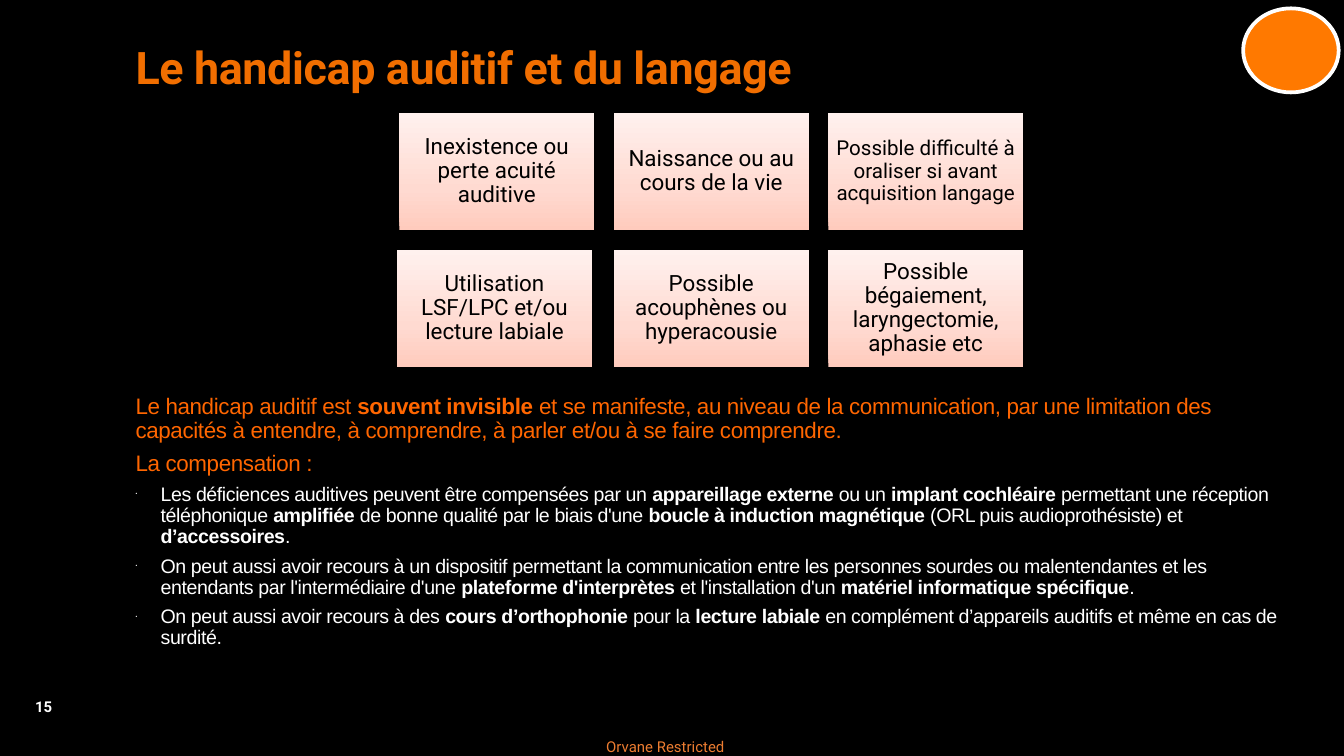
import copy

import pptx
import pptx.dml.color
import pptx.enum.shapes
import pptx.enum.text
import pptx.oxml.ns
import pptx.util
from lxml import etree

Pt = pptx.util.Pt
RGBColor = pptx.dml.color.RGBColor
ALIGN = pptx.enum.text.PP_ALIGN
SHAPE = pptx.enum.shapes.MSO_SHAPE
qn = pptx.oxml.ns.qn

BLACK = RGBColor(0x00, 0x00, 0x00)
WHITE = RGBColor(0xFF, 0xFF, 0xFF)
TITLE_ORANGE = RGBColor(0xF1, 0x6E, 0x00)
TEXT_ORANGE = RGBColor(0xFF, 0x66, 0x00)
BADGE_ORANGE = RGBColor(0xFF, 0x79, 0x00)
FOOTER_ORANGE = RGBColor(0xED, 0x7D, 0x31)
CARD_STOPS = [
    (0, RGBColor(0xFF, 0xCB, 0xBD)),
    (0.35, RGBColor(0xFF, 0xDA, 0xD1)),
    (1, RGBColor(0xFF, 0xF1, 0xEE)),
]

CARD_ROWS = [
    [
        ("Inexistence ou perte acuité auditive", 12),
        ("Naissance ou au cours de la vie", 12),
        ("Possible difficulté à oraliser si avant acquisition langage", 11),
    ],
    [
        ("Utilisation LSF/LPC et/ou lecture labiale", 12),
        ("Possible acouphènes ou hyperacousie", 12),
        ("Possible bégaiement, laryngectomie, aphasie etc", 12),
    ],
]

# Passages between ** marks are bold.
INTRO = [
    "Le handicap auditif est **souvent invisible **et se manifeste, au niveau de la "
    "communication, par une limitation des capacités à entendre, à comprendre, "
    "à parler et/ou à se faire comprendre.",
    "La compensation :",
]
BULLETS = [
    "Les déficiences auditives peuvent être compensées par un **appareillage externe "
    "**ou un **implant cochléaire **permettant une réception téléphonique **amplifiée** "
    "de bonne qualité par le biais d'une **boucle à induction magnétique** "
    "(ORL puis audioprothésiste) et **d’accessoires**.",
    "On peut aussi avoir recours à un dispositif permettant la communication entre les "
    "personnes sourdes ou malentendantes et les entendants par l'intermédiaire d'une "
    "**plateforme d'interprètes** et l'installation d'un "
    "**matériel informatique spécifique**.",
    "On peut aussi avoir recours à des **cours d’orthophonie** pour la **lecture labiale "
    "**en complément d’appareils auditifs et même en cas de surdité.",
]


def write(para, text, font, size, color, spacing=0):
    """Fill a paragraph, with bold between ** marks and letter spacing in 1/100 pt."""
    para.font.name = font
    para.font.size = Pt(size)
    para.font.color.rgb = color
    for index, part in enumerate(text.split("**")):
        span = para.add_run()
        span.text = part
        if index % 2:
            span.font.bold = True
        if spacing:
            span._r.get_or_add_rPr().set("spc", str(spacing))


def add_text_box(left, top, width, height, wrap=True):
    frame = page.shapes.add_textbox(Pt(left), Pt(top), Pt(width), Pt(height)).text_frame
    frame.word_wrap = wrap
    return frame


deck = pptx.Presentation()
deck.slide_width = Pt(720)
deck.slide_height = Pt(405)
page = deck.slides.add_slide(deck.slide_layouts[6])
page.background.fill.solid()
page.background.fill.fore_color.rgb = BLACK

# Footer and page number
footer = add_text_box(324.7, 395.3, 72.7, 9.4, wrap=False)
footer.margin_left = footer.margin_right = footer.margin_top = footer.margin_bottom = 0
write(footer.paragraphs[0], "Orvane Restricted", "Roboto", 8, FOOTER_ORANGE)

number = add_text_box(7.2, 370, 32.4, 17.3, wrap=False).paragraphs[0]
number.alignment = ALIGN.CENTER
write(number, "15", "Roboto", 8, WHITE)
number.font.bold = True

# Title
title = add_text_box(65.5, 20.9, 635, 58.3).paragraphs[0]
title.line_spacing = 0.9
write(title, "Le handicap auditif et du langage", "Roboto", 24, TITLE_ORANGE, -20)
title.font.bold = True

# Explanation and bullets
body = add_text_box(65.5, 208, 635, 147.6)
for index, text in enumerate(INTRO + BULLETS):
    para = body.add_paragraph() if index else body.paragraphs[0]
    para.line_spacing = 0.9
    if index:
        para.space_before = Pt(4.5)
    if index < len(INTRO):
        write(para, text, "Arial", 12, TEXT_ORANGE, -20)
        continue
    properties = para._p.get_or_add_pPr()
    properties.set("marL", str(Pt(13.5)))
    properties.set("indent", str(-Pt(13.5)))
    bullet_color = etree.SubElement(properties, qn("a:buClr"))
    etree.SubElement(bullet_color, qn("a:srgbClr"), val=str(WHITE))
    etree.SubElement(properties, qn("a:buSzPct"), val="25000")
    etree.SubElement(properties, qn("a:buFont"), typeface="Arial")
    etree.SubElement(properties, qn("a:buChar"), char="•")
    write(para, text, "Arial", 10.5, WHITE, -20)

# Grid of cards; the first card of the second row sits slightly to the left
for row, cards in enumerate(CARD_ROWS):
    for column, (text, size) in enumerate(cards):
        left = 213.9 + 114.9 * column
        if (row, column) == (1, 0):
            left -= 1.2
        card = page.shapes.add_shape(
            SHAPE.RECTANGLE, Pt(left), Pt(60.5 + 73.4 * row), Pt(104.5), Pt(62.7)
        )
        card.shadow.inherit = False
        card.line.fill.background()
        card.fill.gradient()
        card.fill.gradient_angle = 90
        stop_list = card._element.spPr.find(".//" + qn("a:gsLst"))
        stop_list.append(copy.deepcopy(stop_list[0]))
        for stop, (position, color) in zip(card.fill.gradient_stops, CARD_STOPS):
            stop.position = position
            stop.color.rgb = color
        frame = card.text_frame
        frame.word_wrap = True
        frame.vertical_anchor = pptx.enum.text.MSO_ANCHOR.MIDDLE
        frame.margin_left = frame.margin_right = Pt(3.6)
        frame.margin_top = frame.margin_bottom = Pt(3.6)
        label = frame.paragraphs[0]
        label.alignment = ALIGN.CENTER
        label.line_spacing = 0.9
        write(label, text, "Roboto", size, BLACK)

# Corner badge
badge = page.shapes.add_shape(SHAPE.OVAL, Pt(666), Pt(4.5), Pt(51.2), Pt(45))
badge.shadow.inherit = False
badge.fill.solid()
badge.fill.fore_color.rgb = BADGE_ORANGE
badge.line.color.rgb = WHITE
badge.line.width = Pt(2)

deck.save("out.pptx")
